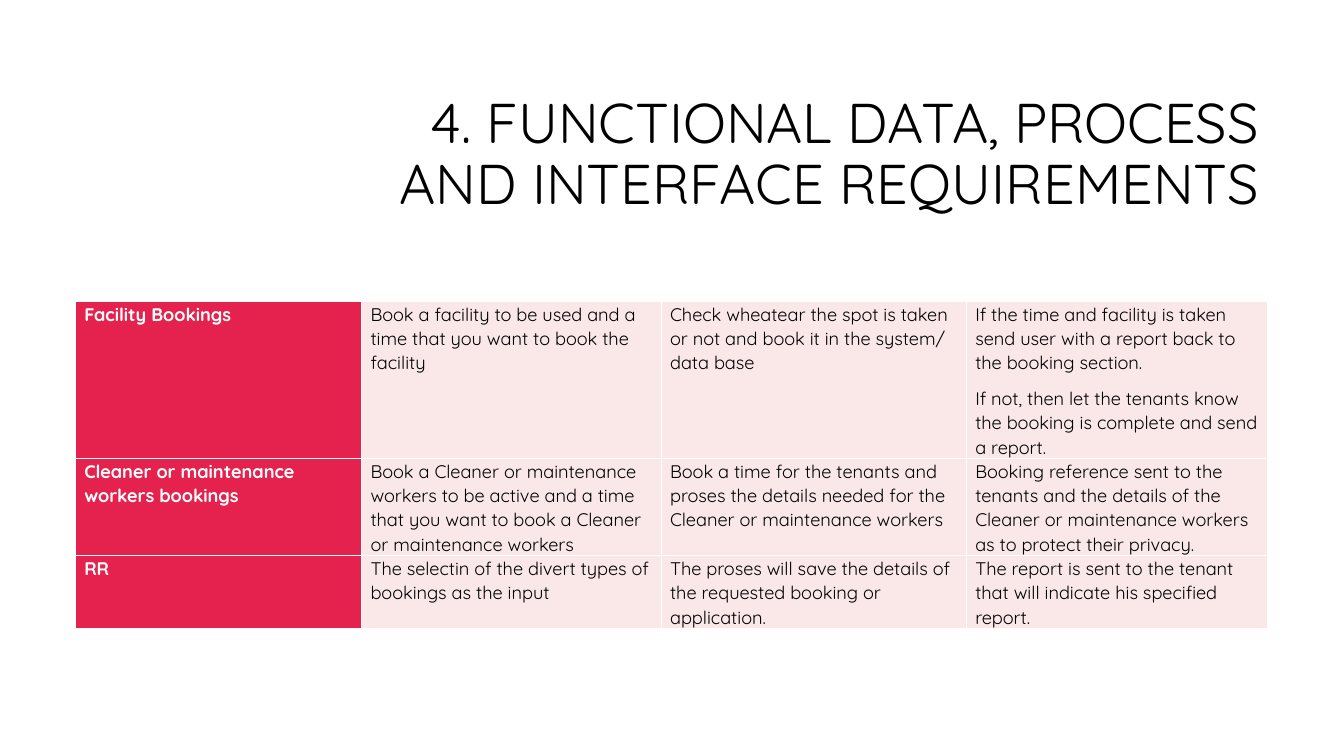
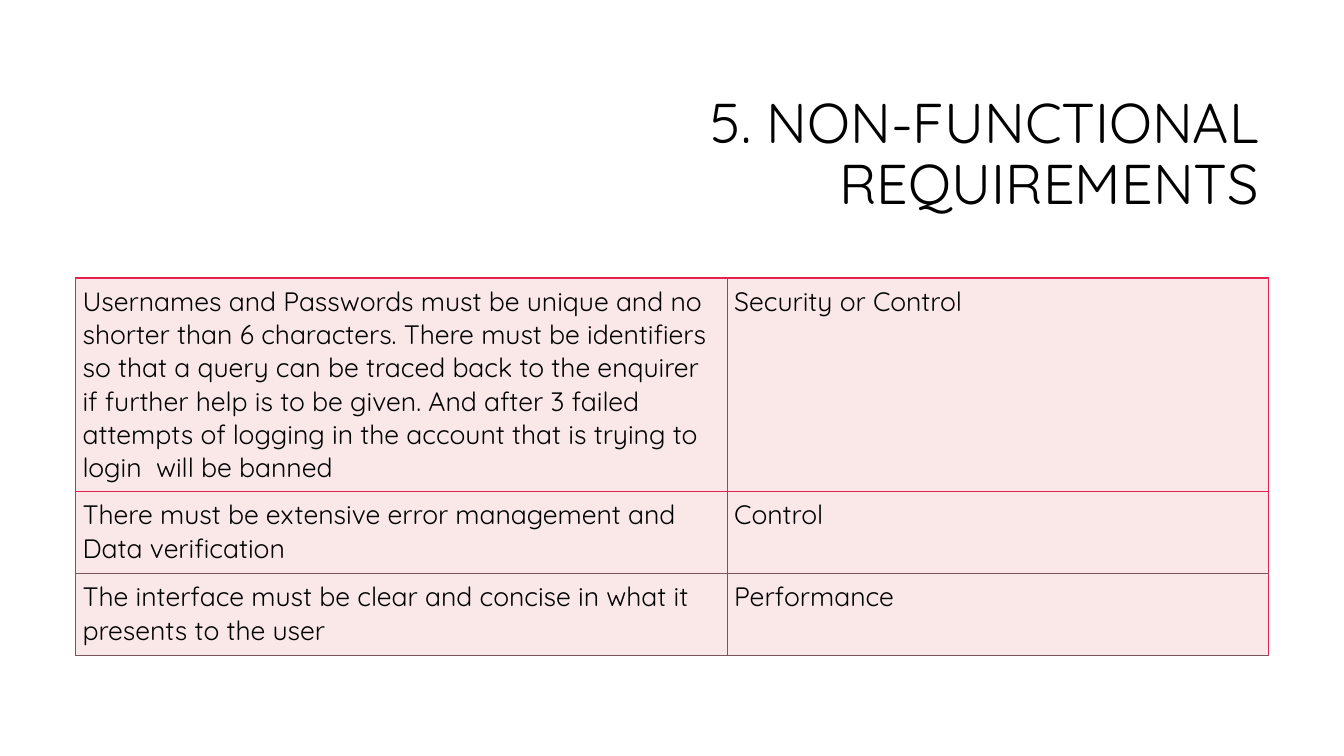
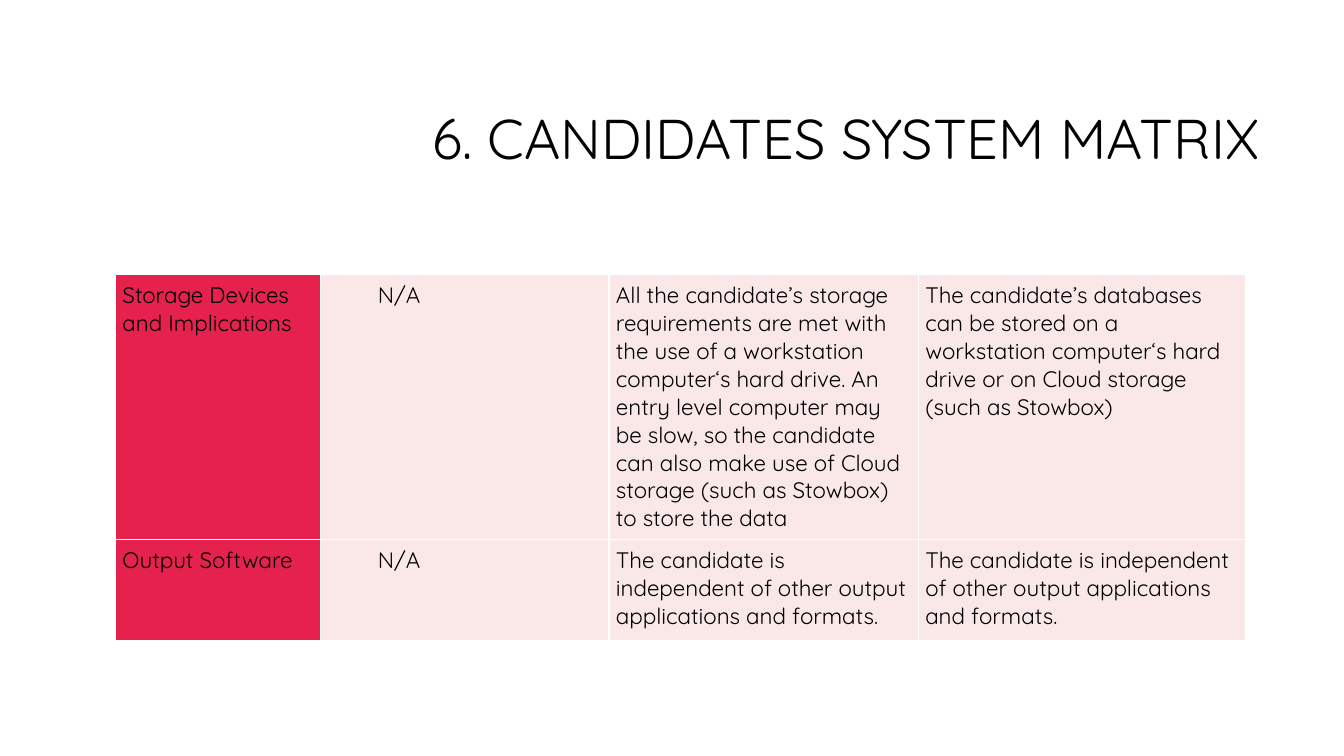
from dataclasses import dataclass

from lxml import etree
from pptx import Presentation
from pptx.dml.color import RGBColor
from pptx.enum.text import MSO_ANCHOR, MSO_AUTO_SIZE, PP_ALIGN
from pptx.oxml.ns import qn
from pptx.util import Pt

RIGHT = PP_ALIGN.RIGHT
MIDDLE = MSO_ANCHOR.MIDDLE
NO_FIT = MSO_AUTO_SIZE.NONE
TITLE_ONLY = 5


@dataclass(frozen=True)
class Theme:
    font: str = "Quicksand"
    ink: str = "000000"
    white: str = "FFFFFF"
    red: str = "E5224E"
    pink: str = "FAE8E9"
    gray: str = "7A5560"
    title: float = 40
    small: float = 13
    large: float = 19
    mid: float = 16


THEME = Theme()


@dataclass(frozen=True)
class Style:
    """How the cells of one table look."""
    size: float
    pad: tuple                    # side, top and bottom
    lead: float = 1.0
    head: bool = True             # red first column
    head_ink: str = THEME.ink
    bold: bool = False
    dent: tuple = ()              # columns with indented text


BOOKING = Style(THEME.small, (6.2, 0), 1.07, head_ink=THEME.white, bold=True)
NEEDS = Style(THEME.large, (5, 5), head=False)
MATRIX = Style(THEME.mid, (5, 5), dent=(1,))


# Text
def add_run(para, text, size, color, bold=False):
    run = para.add_run()
    run.text = text
    font = run.font
    font.name, font.size, font.bold = THEME.font, Pt(size), bold
    font.color.rgb = RGBColor.from_string(color)


def add_slide(deck, title, left=228, top=60.5):
    slide = deck.slides.add_slide(deck.slide_layouts[TITLE_ONLY])
    box = slide.shapes.title
    box.left, box.top = Pt(left), Pt(top)
    box.width, box.height = Pt(906.5 - left), Pt(101.5)
    frame = box.text_frame
    frame.word_wrap, frame.auto_size = True, NO_FIT
    frame.vertical_anchor = MIDDLE
    para = frame.paragraphs[0]
    para.alignment, para.line_spacing = RIGHT, 0.9
    add_run(para, title, THEME.title, THEME.ink)
    return slide


# Table parts
def add_edges(cell, colors):
    props = cell._tc.get_or_add_tcPr()
    for side, color in zip("LRTB", colors):
        line = etree.SubElement(props, qn("a:ln" + side), w=str(Pt(1)))
        fill = etree.SubElement(line, qn("a:solidFill"))
        etree.SubElement(fill, qn("a:srgbClr"), val=color)


def white_edges(row, col):
    return [THEME.white] * 4


def mixed_edges(row, col):
    """Red along the first row and the right side, gray elsewhere."""
    red, gray = THEME.red, THEME.gray
    return [gray,
            red if col == 1 else gray,
            red if row < 2 else gray,
            red if row == 0 else gray]


def fill_cell(cell, text, style, col):
    head = style.head and col == 0
    cell.fill.solid()
    cell.fill.fore_color.rgb = RGBColor.from_string(
        THEME.red if head else THEME.pink)
    side, edge = style.pad
    cell.margin_left = cell.margin_right = Pt(side)
    cell.margin_top = cell.margin_bottom = Pt(edge)
    frame = cell.text_frame
    for i, part in enumerate(text.split("\n")):
        para = frame.add_paragraph() if i else frame.paragraphs[0]
        para.line_spacing, para.space_after = style.lead, Pt(8)
        if col in style.dent:
            para._p.get_or_add_pPr().set("marL", str(Pt(36)))
        add_run(para, part, style.size,
                style.head_ink if head else THEME.ink, head and style.bold)


def add_grid(slide, place, cols, rows, texts, style, edges=white_edges):
    left, top = place
    table = slide.shapes.add_table(
        len(rows), len(cols), Pt(left), Pt(top),
        Pt(sum(cols)), Pt(sum(rows))).table
    table.first_row = table.horz_banding = False
    for col, width in zip(table.columns, cols):
        col.width = Pt(width)
    for row, height in zip(table.rows, rows):
        row.height = Pt(height)
    for r, line in enumerate(texts):
        for c, text in enumerate(line):
            cell = table.cell(r, c)
            add_edges(cell, edges(r, c))
            fill_cell(cell, text, style, c)


# Content
BOOKING_TEXT = [
    ["Facility Bookings",
     "Book a facility to be used and a time that you want to book the "
     "facility",
     "Check wheatear the spot is taken or not and book it in the system/ "
     "data base",
     "If the time and facility is taken send user with a report back to the "
     "booking section.\n"
     "If not, then let the tenants know the booking is complete and send a "
     "report."],
    ["Cleaner or maintenance workers bookings",
     "Book a Cleaner or maintenance workers to be active and a time that you "
     "want to book a Cleaner or maintenance workers",
     "Book a time for the tenants and proses the details needed for the "
     "Cleaner or maintenance workers",
     "Booking reference sent to the tenants and the details of the Cleaner "
     "or maintenance workers as to protect their privacy."],
    ["RR",
     "The selectin of the divert types of bookings as the input",
     "The proses will save the details of the requested booking or "
     "application.",
     "The report is sent to the tenant that will indicate his specified "
     "report."],
]

NEEDS_TEXT = [
    ["Usernames and Passwords must be unique and no shorter than 6 "
     "characters. There must be identifiers so that a query can be traced "
     "back to the enquirer if further help is to be given. And after 3 "
     "failed attempts of logging in the account that is trying to "
     "login  will be banned",
     "Security or Control"],
    ["There must be extensive error management and Data verification",
     "Control"],
    ["The interface must be clear and concise in what it presents to the "
     "user",
     "Performance"],
]

OUTPUT = ("The candidate is independent of other output applications and "
          "formats.")
MATRIX_TEXT = [
    ["Storage Devices and Implications",
     "N/A",
     "All the candidate’s storage requirements are met with the use of a "
     "workstation computer‘s hard drive. An entry level computer may be "
     "slow, so the candidate can also make use of Cloud storage (such as "
     "Stowbox) to store the data",
     "The candidate’s databases can be stored on a workstation computer‘s "
     "hard drive or on Cloud storage (such as Stowbox)"],
    ["Output Software", "N/A", OUTPUT, OUTPUT],
]


def main():
    deck = Presentation()
    deck.slide_width, deck.slide_height = Pt(960), Pt(540)

    slide = add_slide(
        deck, "4. FUNCTIONAL DATA, PROCESS AND INTERFACE REQUIREMENTS")
    add_grid(slide, (54, 215.5), (204.5, 214, 218, 215), (111, 68.5, 52),
             BOOKING_TEXT, BOOKING)

    slide = add_slide(deck, "5. NON-FUNCTIONAL REQUIREMENTS")
    add_grid(slide, (54, 198.5), (465.5, 386.5), (148.5, 58.5, 58.5),
             NEEDS_TEXT, NEEDS, mixed_edges)

    slide = add_slide(deck, "6. CANDIDATES SYSTEM MATRIX", 250, 50)
    add_grid(slide, (82.5, 196), (146.5, 206, 221, 234), (181, 72.5),
             MATRIX_TEXT, MATRIX)

    deck.save("out.pptx")


if __name__ == "__main__":
    main()
